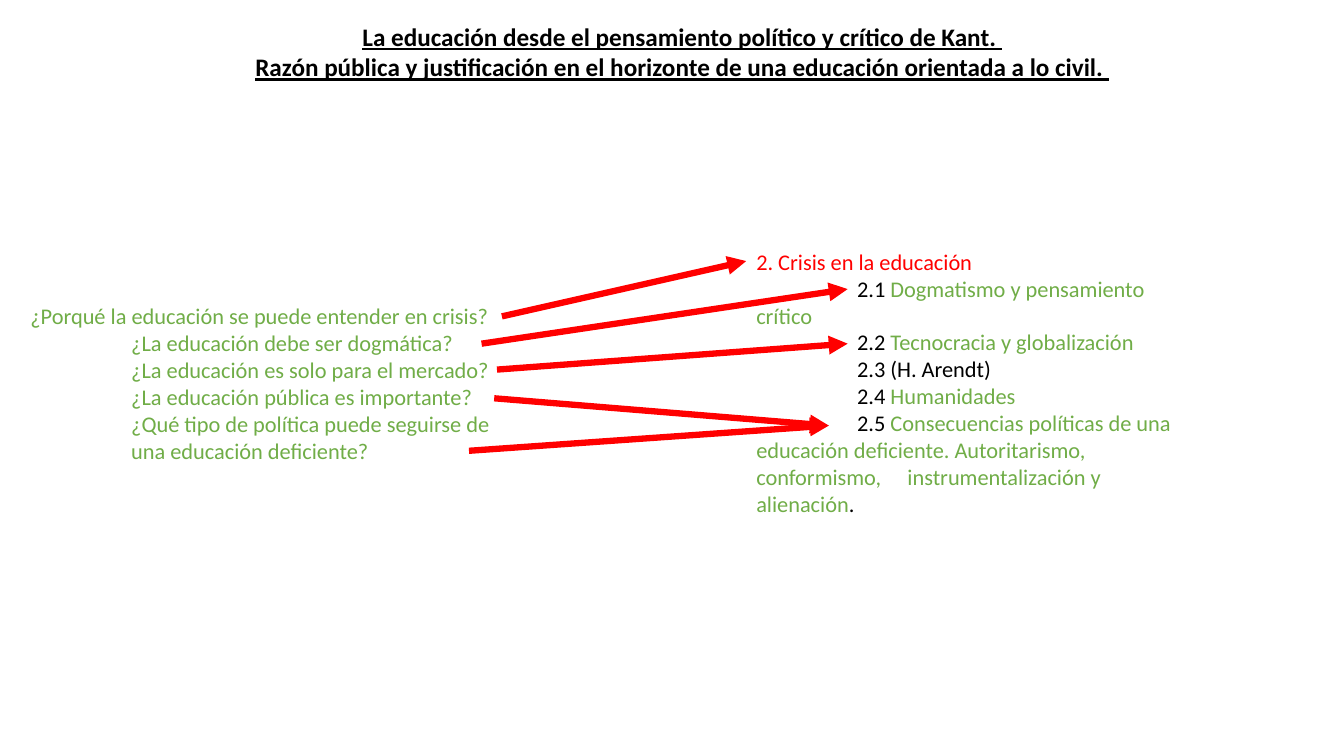
from lxml import etree
from pptx import Presentation
from pptx.dml.color import RGBColor
from pptx.enum.shapes import MSO_CONNECTOR
from pptx.enum.text import MSO_ANCHOR, MSO_AUTO_SIZE, PP_ALIGN
from pptx.oxml.ns import qn
from pptx.util import Pt

STRAIGHT = MSO_CONNECTOR.STRAIGHT
TOP = MSO_ANCHOR.TOP
NO_AUTOFIT = MSO_AUTO_SIZE.NONE
LEFT, CENTER = PP_ALIGN.LEFT, PP_ALIGN.CENTER

BLACK = RGBColor(0x00, 0x00, 0x00)
RED = RGBColor(0xFF, 0x00, 0x00)
GREEN = RGBColor(0x70, 0xAD, 0x47)

TWO_CONTENT_LAYOUT = 3
TAB = 72


class SlideBuilder:
    """Holds the style and the current slide."""

    font_name = "Calibri"
    title_size = 18
    list_size = 16
    arrow_width = 4.5

    def __init__(self, presentation):
        layout = presentation.slide_layouts[TWO_CONTENT_LAYOUT]
        self.slide = presentation.slides.add_slide(layout)

    def place(self, index, left, top, width, height):
        """Move a placeholder and return its text frame."""
        shape = self.slide.placeholders[index]
        shape.left, shape.top = Pt(left), Pt(top)
        shape.width, shape.height = Pt(width), Pt(height)
        text_frame = shape.text_frame
        text_frame.word_wrap = True
        text_frame.auto_size = NO_AUTOFIT
        text_frame.vertical_anchor = TOP
        return text_frame

    def format(self, paragraph, size, alignment):
        paragraph.alignment = alignment
        paragraph.line_spacing = 1.0
        paragraph.space_before = paragraph.space_after = Pt(0)
        paragraph.font.name = self.font_name
        paragraph.font.size = Pt(size)

    def title(self, lines, *box):
        text_frame = self.place(0, *box)
        text_frame.text = "\n".join(lines)
        for paragraph in text_frame.paragraphs:
            self.format(paragraph, self.title_size, CENTER)
            paragraph.font.bold = paragraph.font.underline = True
            paragraph.font.color.rgb = BLACK

    def list(self, index, items, margin, indent, *box):
        """Fill a body placeholder; items after the first are indented."""
        text_frame = self.place(index, *box)
        for number, runs in enumerate(items):
            paragraph = text_frame.paragraphs[0] if number == 0 else text_frame.add_paragraph()
            self.format(paragraph, self.list_size, LEFT)
            properties = paragraph._p.get_or_add_pPr()
            properties.set("marL", str(Pt(margin if number else 0)))
            properties.set("indent", str(Pt(indent if number else 0)))
            no_bullet = etree.Element(qn("a:buNone"))
            properties.find(qn("a:defRPr")).addprevious(no_bullet)
            for text, color in runs:
                run = paragraph.add_run()
                run.text = text
                run.font.color.rgb = color

    def arrow(self, *ends):
        connector = self.slide.shapes.add_connector(STRAIGHT, *map(Pt, ends))
        connector.line.color.rgb = RED
        connector.line.width = Pt(self.arrow_width)
        line = connector.line._get_or_add_ln()
        etree.SubElement(line, qn("a:tailEnd"), type="triangle")
        etree.SubElement(connector._element.spPr, qn("a:effectLst"))


def main():
    presentation = Presentation()
    presentation.slide_width, presentation.slide_height = Pt(960), Pt(540)
    builder = SlideBuilder(presentation)

    # Title
    builder.title([
        "La educación desde el pensamiento político y crítico de Kant. ",
        "Razón pública y justificación en el horizonte de una educación orientada a lo civil. ",
    ], 156, 11.5, 663, 51)

    # Questions on the left
    questions = [
        "¿Porqué la educación se puede entender en crisis?",
        "¿La educación debe ser dogmática?",
        "¿La educación es solo para el mercado?",
        "¿La educación pública es importante?",
        "¿Qué tipo de política puede seguirse de una educación deficiente?",
    ]
    builder.list(1, [[(question, GREEN)] for question in questions],
                 TAB, 0, 14.5, 212.5, 344, 220)

    # Chapter outline on the right
    outline = [
        [("2. Crisis en la educación", RED)],
        [("2.1 ", BLACK), ("Dogmatismo y pensamiento crítico", GREEN)],
        [("2.2 ", BLACK), ("Tecnocracia y globalización", GREEN)],
        [("2.3 (H. Arendt)", BLACK)],
        [("2.4 ", BLACK), ("Humanidades", GREEN)],
        [("2.5 ", BLACK),
         ("Consecuencias políticas de una educación deficiente. Autoritarismo, "
          "conformismo, \tinstrumentalización y alienación", GREEN),
         (".", BLACK)],
    ]
    builder.list(2, outline, 0, TAB, 533, 173.5, 332, 240)

    # Arrows from each question to its section
    for ends in [
        (358.5, 226, 533, 186.5),
        (344, 245.5, 605.5, 206.5),
        (355, 264, 605.5, 245.5),
        (353, 284.5, 592, 304),
        (335, 322, 592, 304),
    ]:
        builder.arrow(*ends)

    presentation.save("out.pptx")


if __name__ == "__main__":
    main()
